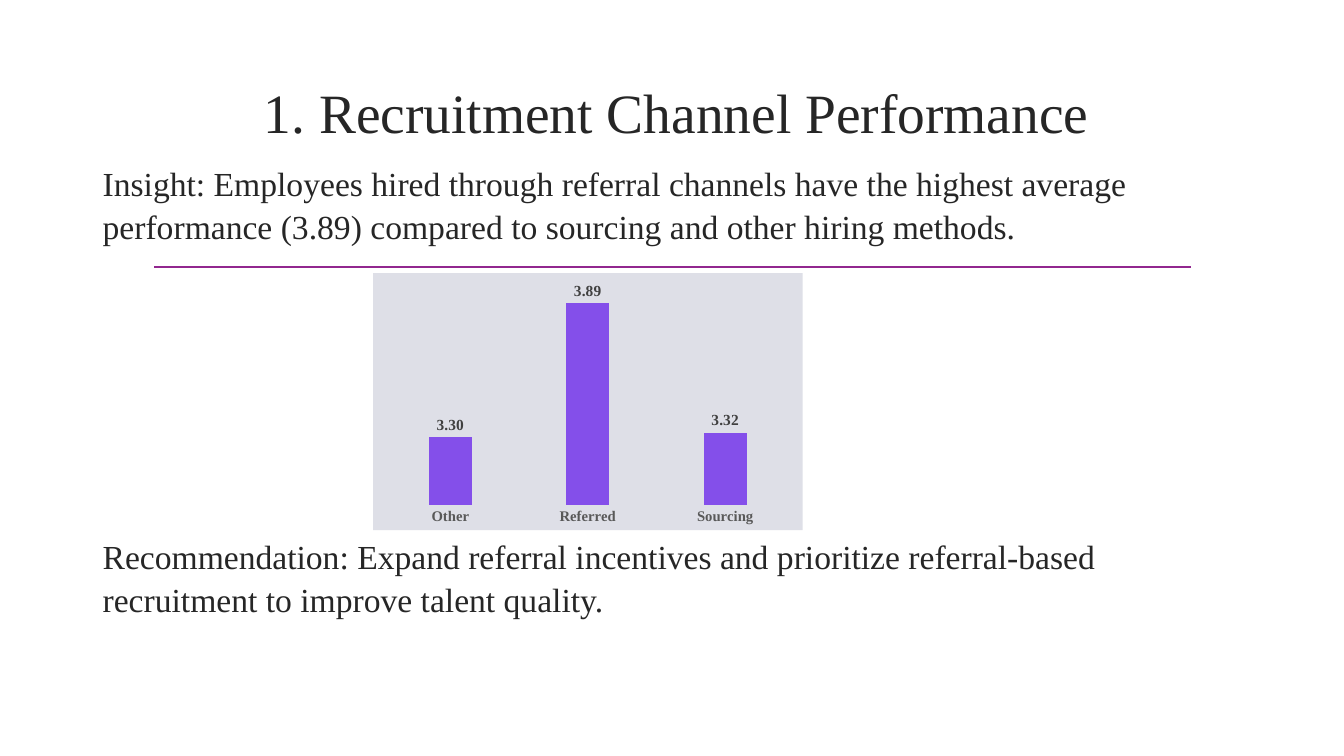
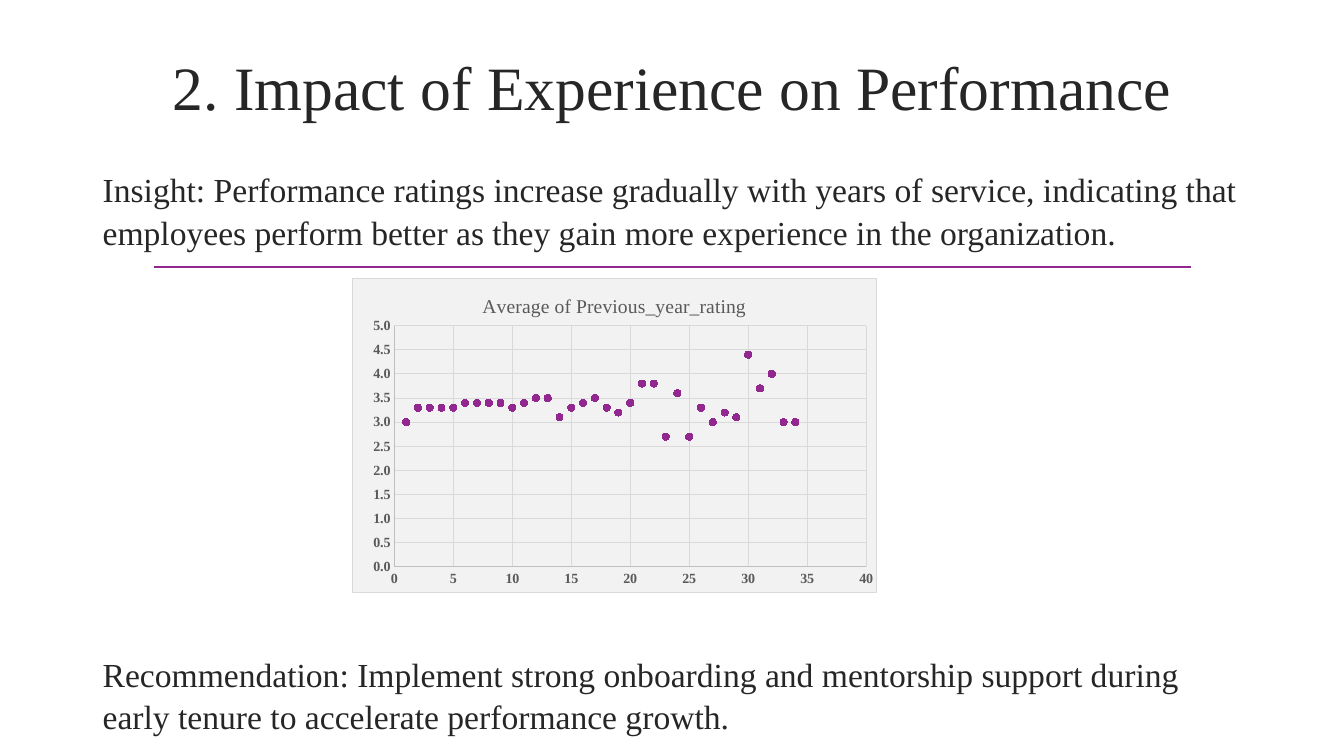
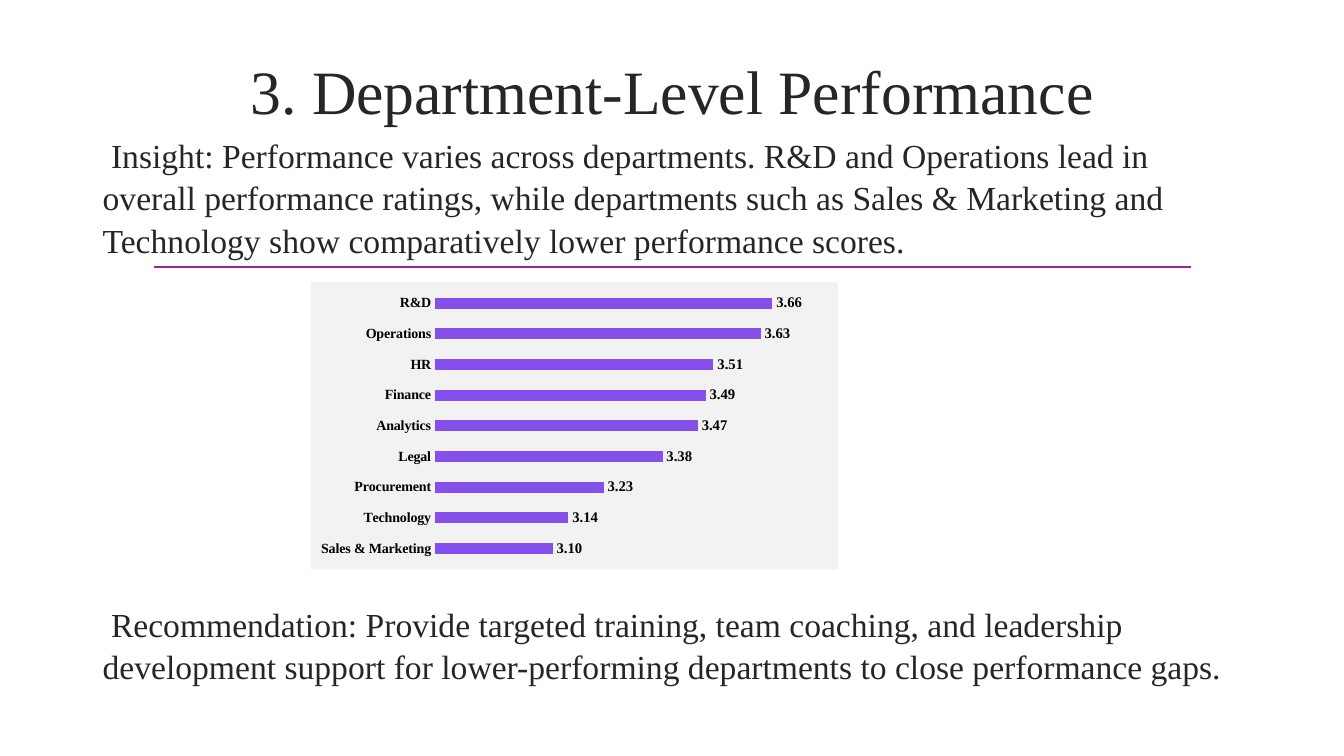
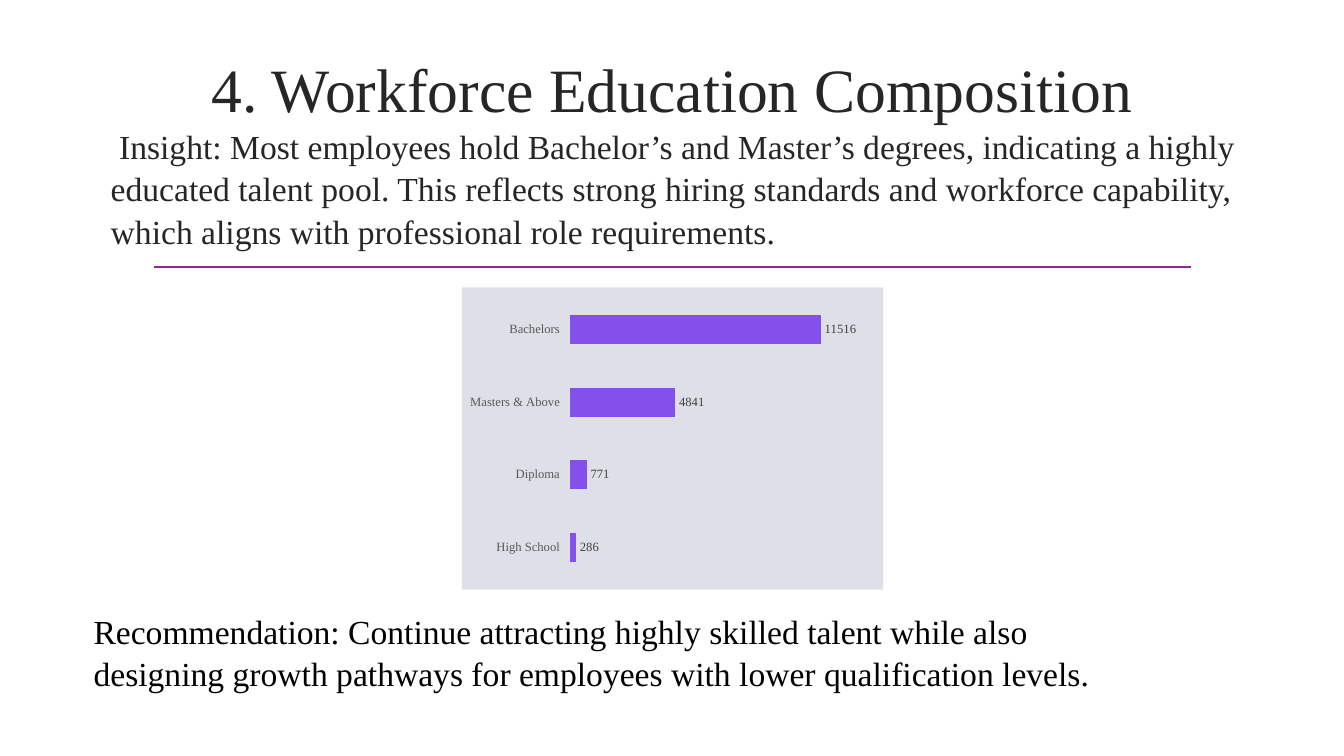
from dataclasses import dataclass

import pptx
import pptx.chart.axis
import pptx.chart.chart
import pptx.chart.data
import pptx.dml.color
import pptx.dml.line
import pptx.enum.chart
import pptx.enum.shapes
import pptx.enum.text
import pptx.oxml
import pptx.oxml.ns
import pptx.slide
import pptx.text.text
import pptx.util

Inches = pptx.util.Inches
Pt = pptx.util.Pt
Kind = pptx.enum.chart.XL_CHART_TYPE
Tick = pptx.enum.chart.XL_TICK_MARK

FONT = "Times New Roman"
INK = "262626"
BLACK = "000000"
GRAY = "595959"
DARK = "404040"
PURPLE = "92278F"
VIOLET = "844FEA"
MIST = "DEDFE7"
PALE = "F2F2F2"
GRID = "D9D9D9"
AXIS = "BFBFBF"


@dataclass
class Box:
    left: float
    top: float
    width: float
    height: float

    def lengths(self) -> tuple:
        return tuple(map(Inches, (self.left, self.top, self.width, self.height)))


@dataclass
class Text:
    words: str
    box: Box
    size: float = 24
    color: str = INK


@dataclass
class Type:
    size: float
    color: str
    bold: bool = False


@dataclass
class Bars:
    kind: Kind
    box: Box
    data: dict[str, float]
    low: float
    high: float
    gap: int
    fill: str
    names: Type
    labels: Type
    form: str = "0.00"
    overlap: int = 0
    tick: Tick = Tick.NONE


@dataclass
class Dots:
    title: str
    box: Box
    vals: list[float]


@dataclass
class Page:
    title: Text
    notes: list[Text]
    chart: Bars | Dots


def rgb(code: str) -> pptx.dml.color.RGBColor:
    return pptx.dml.color.RGBColor.from_string(code)


def style(font: pptx.text.text.Font, look: Type) -> None:
    font.name = FONT
    font.size = Pt(look.size)
    font.bold = look.bold
    font.color.rgb = rgb(look.color)


def stroke(line: pptx.dml.line.LineFormat, color: str, width: float = 0.75) -> None:
    line.color.rgb = rgb(color)
    line.width = Pt(width)


def write(slide: pptx.slide.Slide, text: Text, head: bool = False) -> None:
    frame = slide.shapes.add_textbox(*text.box.lengths()).text_frame
    frame.word_wrap = True
    para = frame.paragraphs[0]
    para.line_spacing = 1.05
    if head:
        frame.vertical_anchor = pptx.enum.text.MSO_ANCHOR.MIDDLE
        para.alignment = pptx.enum.text.PP_ALIGN.CENTER
    run = para.add_run()
    run.text = text.words
    style(run.font, Type(text.size, text.color))


def rule(slide: pptx.slide.Slide) -> None:
    """Draw the line under the insight."""
    line = slide.shapes.add_connector(
        pptx.enum.shapes.MSO_CONNECTOR.STRAIGHT,
        Inches(1.53), Inches(2.65), Inches(11.81), Inches(2.65))
    stroke(line.line, PURPLE, 1.25)
    props = line._element.spPr
    props.append(pptx.oxml.parse_xml(
        f"<a:effectLst {pptx.oxml.ns.nsdecls('a')}/>"))


def back(chart: pptx.chart.chart.Chart, fill: str, edge: str = "") -> None:
    """Fill the chart area, with an edge if one is given."""
    paint = '<a:solidFill><a:srgbClr val="{}"/></a:solidFill>'
    border = paint.format(edge) if edge else "<a:noFill/>"
    area = pptx.oxml.parse_xml(
        f"<c:spPr {pptx.oxml.ns.nsdecls('c', 'a')}>{paint.format(fill)}"
        f'<a:ln w="{Pt(0.75)}">{border}</a:ln></c:spPr>')
    chart.element.find(pptx.oxml.ns.qn("c:chart")).addnext(area)


def place(chart: pptx.chart.chart.Chart, box: Box) -> None:
    """Set the inner plot area in fractions of the chart."""
    plot = chart.element.find(".//" + pptx.oxml.ns.qn("c:plotArea"))
    old = plot.find(pptx.oxml.ns.qn("c:layout"))
    if old is not None:
        plot.remove(old)
    spots = {"x": box.left, "y": box.top, "w": box.width, "h": box.height}
    marks = "".join(f'<c:{key}Mode val="edge"/>' for key in "xy")
    marks += "".join(f'<c:{key} val="{val}"/>' for key, val in spots.items())
    plot.insert(0, pptx.oxml.parse_xml(
        f"<c:layout {pptx.oxml.ns.nsdecls('c')}><c:manualLayout>"
        f'<c:layoutTarget val="inner"/>{marks}</c:manualLayout></c:layout>'))


def start(slide: pptx.slide.Slide, kind: Kind, box: Box,
          data: pptx.chart.data.ChartData) -> pptx.chart.chart.Chart:
    chart = slide.shapes.add_chart(kind, *box.lengths(), data).chart
    chart.has_legend = False
    chart.has_title = False
    style(chart.font, Type(10, BLACK))
    return chart


def span(axis: pptx.chart.axis.ValueAxis, low: float, high: float) -> None:
    axis.minimum_scale = low
    axis.maximum_scale = high


def bars(slide: pptx.slide.Slide, item: Bars) -> None:
    data = pptx.chart.data.CategoryChartData(number_format=item.form)
    data.categories = list(item.data)
    data.add_series("Series 1", list(item.data.values()))
    chart = start(slide, item.kind, item.box, data)
    back(chart, item.fill)

    names = chart.category_axis
    names.major_tick_mark = item.tick
    names.minor_tick_mark = Tick.NONE
    names.has_major_gridlines = False
    names.format.line.fill.background()
    style(names.tick_labels.font, item.names)
    span(chart.value_axis, item.low, item.high)
    chart.value_axis.has_major_gridlines = False
    chart.value_axis.visible = False

    plot = chart.plots[0]
    plot.vary_by_categories = False
    plot.gap_width = item.gap
    plot.overlap = item.overlap
    fill = plot.series[0].format.fill
    fill.solid()
    fill.fore_color.rgb = rgb(VIOLET)
    plot.has_data_labels = True
    labels = plot.data_labels
    labels.show_value = True
    labels.position = pptx.enum.chart.XL_LABEL_POSITION.OUTSIDE_END
    labels.number_format = item.form
    labels.number_format_is_linked = False
    style(labels.font, item.labels)


def dots(slide: pptx.slide.Slide, item: Dots) -> None:
    data = pptx.chart.data.XyChartData()
    points = data.add_series(item.title)
    for year, val in enumerate(item.vals, 1):
        points.add_data_point(year, val)
    chart = start(slide, Kind.XY_SCATTER, item.box, data)
    back(chart, PALE, GRID)
    place(chart, Box(0.08, 0.15, 0.9, 0.77))

    chart.has_title = True
    run = chart.chart_title.text_frame.paragraphs[0].add_run()
    run.text = item.title
    style(run.font, Type(14, GRAY))
    chart.chart_title.include_in_layout = False

    scales = ((chart.category_axis, 40, 5, "0"), (chart.value_axis, 5, 0.5, "0.0"))
    for axis, high, step, form in scales:
        span(axis, 0, high)
        axis.major_unit = step
        axis.major_tick_mark = axis.minor_tick_mark = Tick.NONE
        axis.has_major_gridlines = True
        stroke(axis.major_gridlines.format.line, GRID)
        stroke(axis.format.line, AXIS)
        axis.tick_labels.number_format = form
        axis.tick_labels.number_format_is_linked = False
        style(axis.tick_labels.font, Type(10, GRAY, True))

    chart.plots[0].vary_by_categories = False
    series = chart.plots[0].series[0]
    series.smooth = False
    series.format.line.fill.background()
    mark = series.marker
    mark.style = pptx.enum.chart.XL_MARKER_STYLE.CIRCLE
    mark.size = 5
    mark.format.fill.solid()
    mark.format.fill.fore_color.rgb = rgb(PURPLE)
    stroke(mark.format.line, PURPLE)


PAGES = [
    Page(
        Text("1. Recruitment Channel Performance", Box(1, 0.75, 11.42, 0.68), 39.6),
        [
            Text("Insight: Employees hired through referral channels have the "
                 "highest average performance (3.89) compared to sourcing and "
                 "other hiring methods.", Box(0.92, 1.55, 11.5, 0.9)),
            Text("Recommendation: Expand referral incentives and prioritize "
                 "referral-based recruitment to improve talent quality.",
                 Box(0.92, 5.25, 11.5, 0.9)),
        ],
        Bars(Kind.COLUMN_CLUSTERED, Box(3.7, 2.71, 4.26, 2.55),
             {"Other": 3.3, "Referred": 3.89, "Sourcing": 3.32},
             3, 4, 219, MIST, Type(10.5, GRAY, True), Type(11, DARK, True),
             overlap=-27),
    ),
    Page(
        Text("2. Impact of Experience on Performance", Box(0.92, 0.4, 11.5, 0.86), 44),
        [
            Text("Insight: Performance ratings increase gradually with years of "
                 "service, indicating that employees perform better as they gain "
                 "more experience in the organization.", Box(0.92, 1.61, 11.5, 0.9)),
            Text("Recommendation: Implement strong onboarding and mentorship "
                 "support during early tenure to accelerate performance growth.",
                 Box(0.92, 6.42, 11.5, 0.9)),
        ],
        Dots("Average of Previous_year_rating", Box(3.49, 2.76, 5.21, 3.12),
             [3, 3.3, 3.3, 3.3, 3.3, 3.4, 3.4, 3.4, 3.4, 3.3, 3.4, 3.5,
              3.5, 3.1, 3.3, 3.4, 3.5, 3.3, 3.2, 3.4, 3.8, 3.8, 2.7, 3.6,
              2.7, 3.3, 3, 3.2, 3.1, 4.4, 3.7, 4, 3, 3]),
    ),
    Page(
        Text("3. Department-Level Performance", Box(0.92, 0.4, 11.5, 0.95), 44),
        [
            Text(" Insight: Performance varies across departments. R&D and "
                 "Operations lead in overall performance ratings, while "
                 "departments such as Sales & Marketing and Technology show "
                 "comparatively lower performance scores.",
                 Box(0.92, 1.27, 11.5, 1.3)),
            Text(" Recommendation: Provide targeted training, team coaching, and "
                 "leadership development support for lower-performing departments "
                 "to close performance gaps.", Box(0.92, 5.92, 11.5, 0.9)),
        ],
        Bars(Kind.BAR_CLUSTERED, Box(3.08, 2.8, 5.23, 2.85),
             {"Sales & Marketing": 3.1, "Technology": 3.14, "Procurement": 3.23,
              "Legal": 3.38, "Analytics": 3.47, "Finance": 3.49, "HR": 3.51,
              "Operations": 3.63, "R&D": 3.66},
             2.8, 3.8, 182, PALE, Type(10, BLACK, True), Type(10.5, BLACK, True)),
    ),
    Page(
        Text("4. Workforce Education Composition", Box(0.92, 0.4, 11.5, 0.91), 44),
        [
            Text(" Insight: Most employees hold Bachelor’s and Master’s degrees, "
                 "indicating a highly educated talent pool. This reflects strong "
                 "hiring standards and workforce capability, which aligns with "
                 "professional role requirements.", Box(1, 1.18, 11.5, 1.3)),
            Text("Recommendation: Continue attracting highly skilled talent while "
                 "also designing growth pathways for employees with lower "
                 "qualification levels.", Box(0.83, 5.99, 10.8, 0.91), color=BLACK),
        ],
        Bars(Kind.BAR_CLUSTERED, Box(4.58, 2.85, 4.18, 3),
             {"High School": 286, "Diploma": 771, "Masters & Above": 4841,
              "Bachelors": 11516},
             0, 14000, 150, MIST, Type(9, GRAY), Type(9, DARK), "0",
             tick=Tick.OUTSIDE),
    ),
]


def main() -> None:
    deck = pptx.Presentation()
    deck.slide_width = Inches(13.33)
    deck.slide_height = Inches(7.5)
    for page in PAGES:
        slide = deck.slides.add_slide(deck.slide_layouts[6])
        rule(slide)
        write(slide, page.title, head=True)
        for note in page.notes:
            write(slide, note)
        draw = bars if isinstance(page.chart, Bars) else dots
        draw(slide, page.chart)
    deck.save("out.pptx")


if __name__ == "__main__":
    main()
